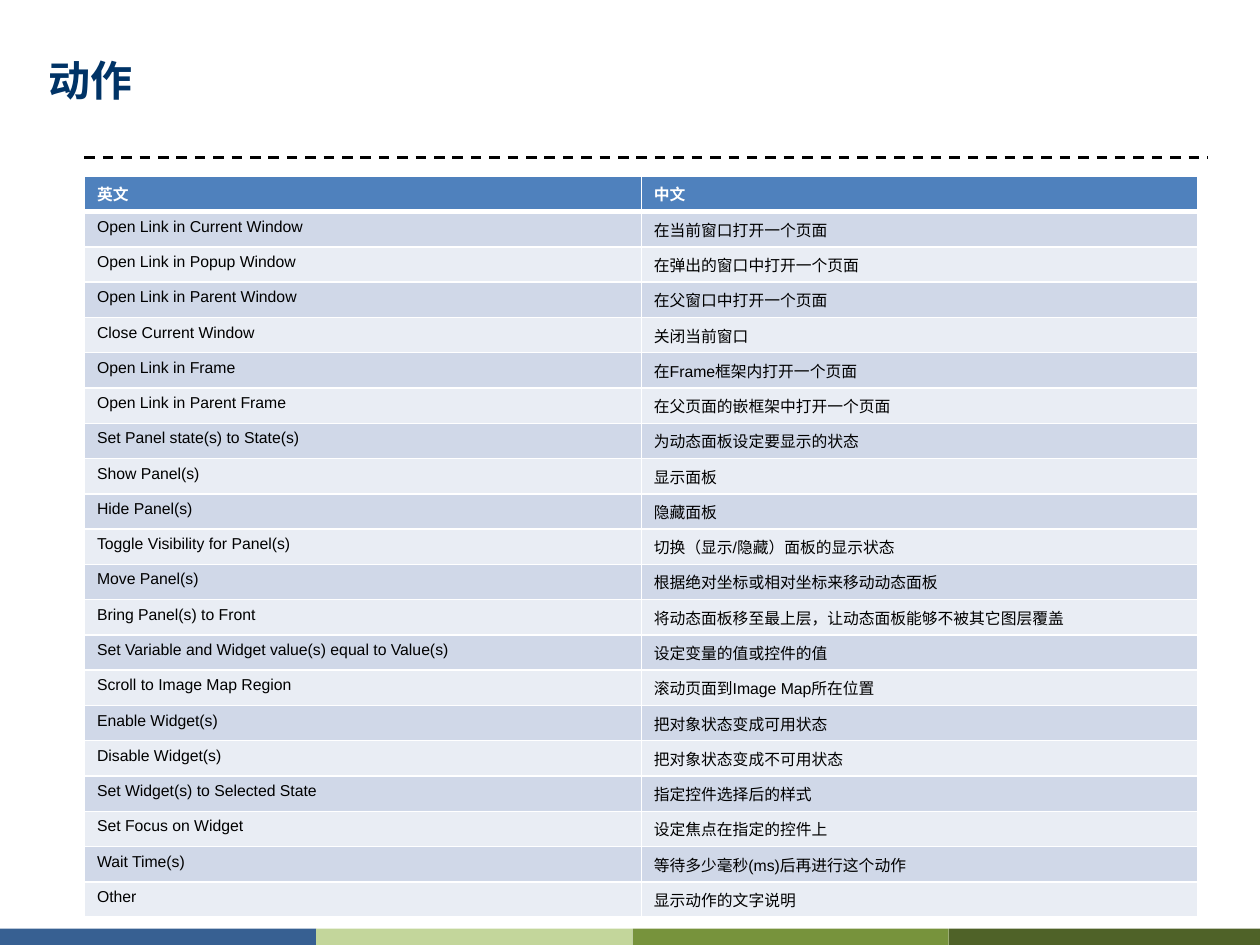
"""Build a slide listing actions in English and Chinese."""
from lxml import etree
from pptx import Presentation
from pptx import util as u
from pptx.dml.color import RGBColor
from pptx.enum import dml, shapes, text
from pptx.oxml.ns import qn

BLACK = RGBColor(0, 0, 0)
WHITE = RGBColor(255, 255, 255)
NAVY = RGBColor(0x00, 0x33, 0x66)
HEAD = RGBColor(0x4F, 0x81, 0xBD)
BANDS = (RGBColor(0xD0, 0xD8, 0xE8), RGBColor(0xE9, 0xED, 0xF4))
BARS = (
    RGBColor(0x37, 0x60, 0x92),
    RGBColor(0xC3, 0xD6, 0x9B),
    RGBColor(0x77, 0x93, 0x3C),
    RGBColor(0x4F, 0x62, 0x28),
)
LATIN = "Arial"
HAN = "Noto Sans CJK SC"

ROWS = (
    ("英文", "中文"),
    ("Open Link in Current Window", "在当前窗口打开一个页面"),
    ("Open Link in Popup Window", "在弹出的窗口中打开一个页面"),
    ("Open Link in Parent Window", "在父窗口中打开一个页面"),
    ("Close Current Window", "关闭当前窗口"),
    ("Open Link in Frame", "在Frame框架内打开一个页面"),
    ("Open Link in Parent Frame", "在父页面的嵌框架中打开一个页面"),
    ("Set Panel state(s) to State(s)", "为动态面板设定要显示的状态"),
    ("Show Panel(s)", "显示面板"),
    ("Hide Panel(s)", "隐藏面板"),
    ("Toggle Visibility for Panel(s)", "切换（显示/隐藏）面板的显示状态"),
    ("Move Panel(s)", "根据绝对坐标或相对坐标来移动动态面板"),
    ("Bring Panel(s) to Front", "将动态面板移至最上层，让动态面板能够不被其它图层覆盖"),
    ("Set Variable and Widget value(s) equal to Value(s)", "设定变量的值或控件的值"),
    ("Scroll to Image Map Region", "滚动页面到Image Map所在位置"),
    ("Enable Widget(s)", "把对象状态变成可用状态"),
    ("Disable Widget(s)", "把对象状态变成不可用状态"),
    ("Set Widget(s) to Selected State", "指定控件选择后的样式"),
    ("Set Focus on Widget", "设定焦点在指定的控件上"),
    ("Wait Time(s)", "等待多少毫秒(ms)后再进行这个动作"),
    ("Other", "显示动作的文字说明"),
)


def add_run(para, words, size, color, bold=False, face=LATIN):
    run = para.add_run()
    run.text = words
    font = run.font
    font.size, font.bold, font.name = u.Pt(size), bold, face
    font.color.rgb = color
    etree.SubElement(font._element, qn("a:ea"), typeface=HAN)


def add_title(slide, words):
    box = slide.shapes.add_textbox(
        u.Inches(0.29), u.Inches(0.17), u.Inches(9.5), u.Inches(0.92))
    frame = box.text_frame
    frame.word_wrap = True
    frame.vertical_anchor = text.MSO_ANCHOR.MIDDLE
    add_run(frame.paragraphs[0], words, 24, NAVY, True, HAN)


def add_rule(slide):
    y = u.Inches(1.25)
    rule = slide.shapes.add_connector(
        shapes.MSO_CONNECTOR.STRAIGHT, u.Inches(0.67), y, u.Inches(9.58), y)
    rule.line.color.rgb = BLACK
    rule.line.width = u.Pt(1.5)
    rule.line.dash_style = dml.MSO_LINE.DASH
    etree.SubElement(rule._element.spPr, qn("a:effectLst"))


def add_bars(slide):
    wide = 2.51
    for i, color in enumerate(BARS):
        bar = slide.shapes.add_shape(
            shapes.MSO_SHAPE.RECTANGLE, u.Inches(i * wide), u.Inches(7.37),
            u.Inches(wide), u.Inches(0.17))
        bar.shadow.inherit = False
        bar.fill.solid()
        bar.fill.fore_color.rgb = color
        bar.line.fill.background()


def set_edges(cell, top, bottom):
    props = cell._tc.get_or_add_tcPr()
    edges = (("L", 1), ("R", 1), ("T", top), ("B", bottom))
    for i, (side, width) in enumerate(edges):
        edge = etree.Element(qn("a:ln" + side), w=str(u.Pt(width)))
        fill = etree.SubElement(edge, qn("a:solidFill"))
        etree.SubElement(fill, qn("a:srgbClr"), val=str(WHITE))
        props.insert(i, edge)


def fill_cell(cell, words, row):
    head = row == 0
    cell.fill.solid()
    cell.fill.fore_color.rgb = HEAD if head else BANDS[(row - 1) % 2]
    set_edges(cell, 3 if row == 1 else 1, 3 if head else 1)
    para = cell.text_frame.paragraphs[0]
    para.alignment = text.PP_ALIGN.LEFT
    add_run(para, words, 9, WHITE if head else BLACK, head)


def add_grid(slide):
    high = 0.28
    grid = slide.shapes.add_table(
        len(ROWS), 2, u.Inches(0.67), u.Inches(1.4),
        u.Inches(8.84), u.Inches(high * len(ROWS))).table
    for row, pair in enumerate(ROWS):
        grid.rows[row].height = u.Inches(high)
        for col, words in enumerate(pair):
            fill_cell(grid.cell(row, col), words, row)


def main():
    deck = Presentation()
    deck.slide_width, deck.slide_height = u.Inches(10), u.Inches(7.5)
    slide = deck.slides.add_slide(deck.slide_layouts[6])
    add_rule(slide)
    add_bars(slide)
    add_title(slide, "动作")
    add_grid(slide)
    deck.save("out.pptx")


if __name__ == "__main__":
    main()
